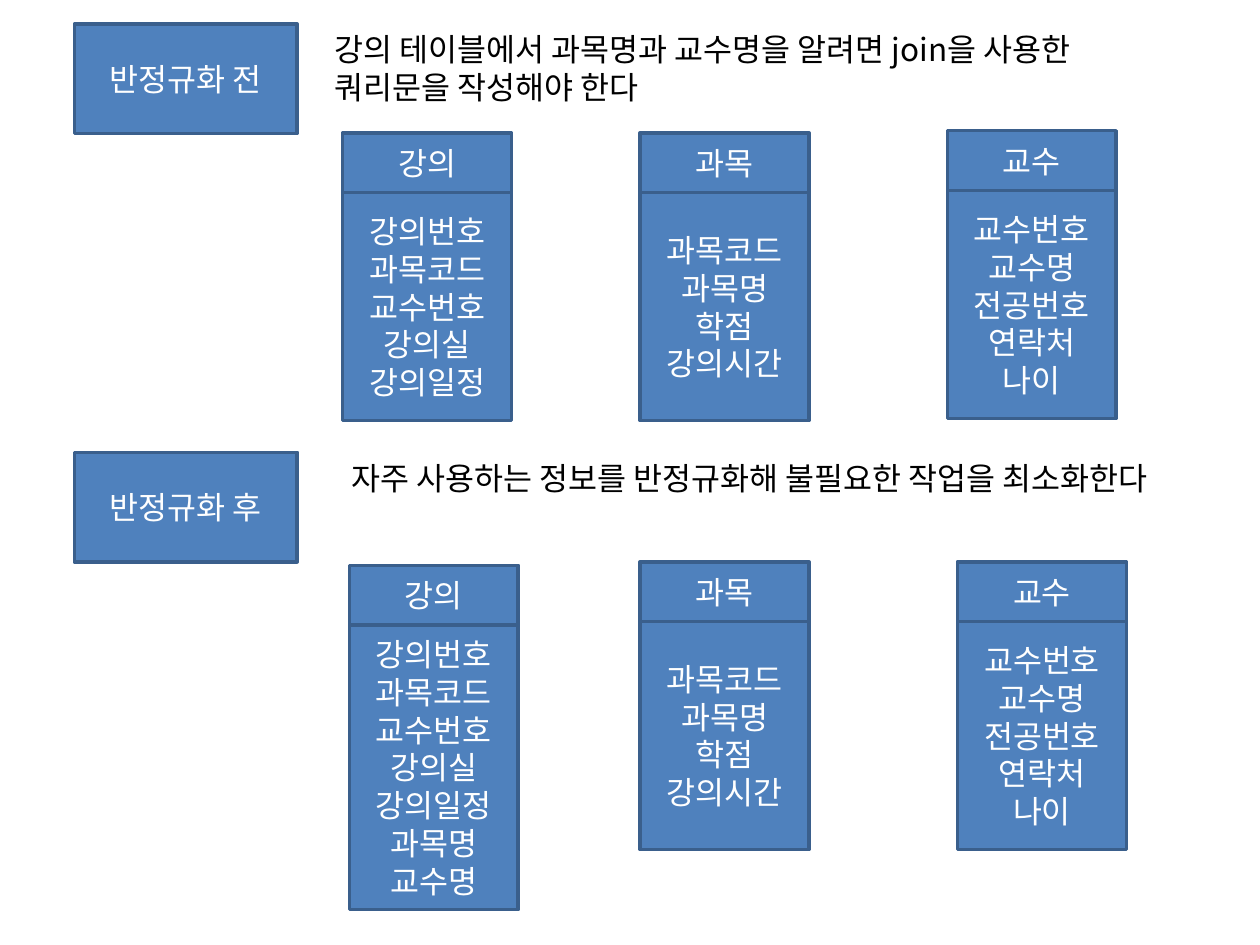
from lxml.etree import SubElement
from pptx import Presentation
from pptx.dml.color import RGBColor as Rgb
from pptx.enum.shapes import MSO_SHAPE as Shape
from pptx.enum.text import MSO_ANCHOR as Anchor, MSO_AUTO_SIZE as Auto, PP_ALIGN as Align
from pptx.oxml.ns import qn
from pptx.util import Pt

COLORS = {"fill": "4F81BD", "line": "3A5F8C", "light": "FFFFFF", "dark": "000000"}
FONT = "Noto Sans CJK KR"
SIZE = 18
LINE = 2
LABEL = (42.5, 127.4, 62.6)  # left, width, height
WIDTH, HEAD, BODY = 96.5, 34.1, 130.3

LECTURE = ["강의번호", "과목코드", "교수번호", "강의실", "강의일정"]
COURSE = ["과목코드", "과목명", "학점", "강의시간"]
TEACHER = ["교수번호", "교수명", "전공번호", "연락처", "나이"]

# label, top, note, note left, note width, tables (name, left, top, body height, fields)
STAGES = [
    ("반정규화 전", 13.7,
     "강의 테이블에서 과목명과 교수명을 알려면 join을 사용한 쿼리문을 작성해야 한다",
     184.3, 481.7,
     [("강의", 195.8, 75.9, BODY, LECTURE),
      ("과목", 365.8, 75.9, BODY, COURSE),
      ("교수", 541.4, 74.7, BODY, TEACHER)]),
    ("반정규화 후", 258.5,
     "자주 사용하는 정보를 반정규화해 불필요한 작업을 최소화한다",
     193.7, 483.8,
     [("강의", 199.7, 323, 162.7, LECTURE + ["과목명", "교수명"]),
      ("과목", 365.8, 321, BODY, COURSE),
      ("교수", 547.2, 321, BODY, TEACHER)]),
]


class Deck:
    def __init__(self):
        self.show = Presentation()
        self.show.slide_width, self.show.slide_height = Pt(720), Pt(540)
        self.slide = self.show.slides.add_slide(self.show.slide_layouts[6])

    def label(self, frame, lines, color, align):
        """Put one paragraph per line into the frame."""
        frame.word_wrap = True
        for i, line in enumerate(lines):
            para = frame.add_paragraph() if i else frame.paragraphs[0]
            para.text, para.alignment = line, align
            font = para.font
            font.size, font.name = Pt(SIZE), FONT
            font.color.rgb = Rgb.from_string(COLORS[color])
            # Hangul takes its face from the East Asian font slot
            SubElement(para._p.pPr.find(qn("a:defRPr")), qn("a:ea"), typeface=FONT)

    def box(self, left, top, width, height, lines):
        box = self.slide.shapes.add_shape(
            Shape.RECTANGLE, Pt(left), Pt(top), Pt(width), Pt(height))
        box.shadow.inherit = False
        box.fill.solid()
        box.fill.fore_color.rgb = Rgb.from_string(COLORS["fill"])
        box.line.color.rgb = Rgb.from_string(COLORS["line"])
        box.line.width = Pt(LINE)
        box.text_frame.vertical_anchor = Anchor.MIDDLE
        self.label(box.text_frame, lines, "light", Align.CENTER)

    def note(self, left, top, width, text):
        box = self.slide.shapes.add_textbox(Pt(left), Pt(top), Pt(width), Pt(51))
        self.label(box.text_frame, [text], "dark", Align.LEFT)
        box.text_frame.auto_size = Auto.SHAPE_TO_FIT_TEXT

    def entity(self, name, left, top, height, fields):
        """Draw a table's name box with its field list right below."""
        self.box(left, top, WIDTH, HEAD, [name])
        self.box(left, top + HEAD, WIDTH, height, fields)


def main():
    deck = Deck()
    left, width, height = LABEL
    for label, top, text, start, span, tables in STAGES:
        for table in tables:
            deck.entity(*table)
        deck.box(left, top, width, height, [label])
        deck.note(start, top, span, text)
    deck.show.save("out.pptx")


if __name__ == "__main__":
    main()
